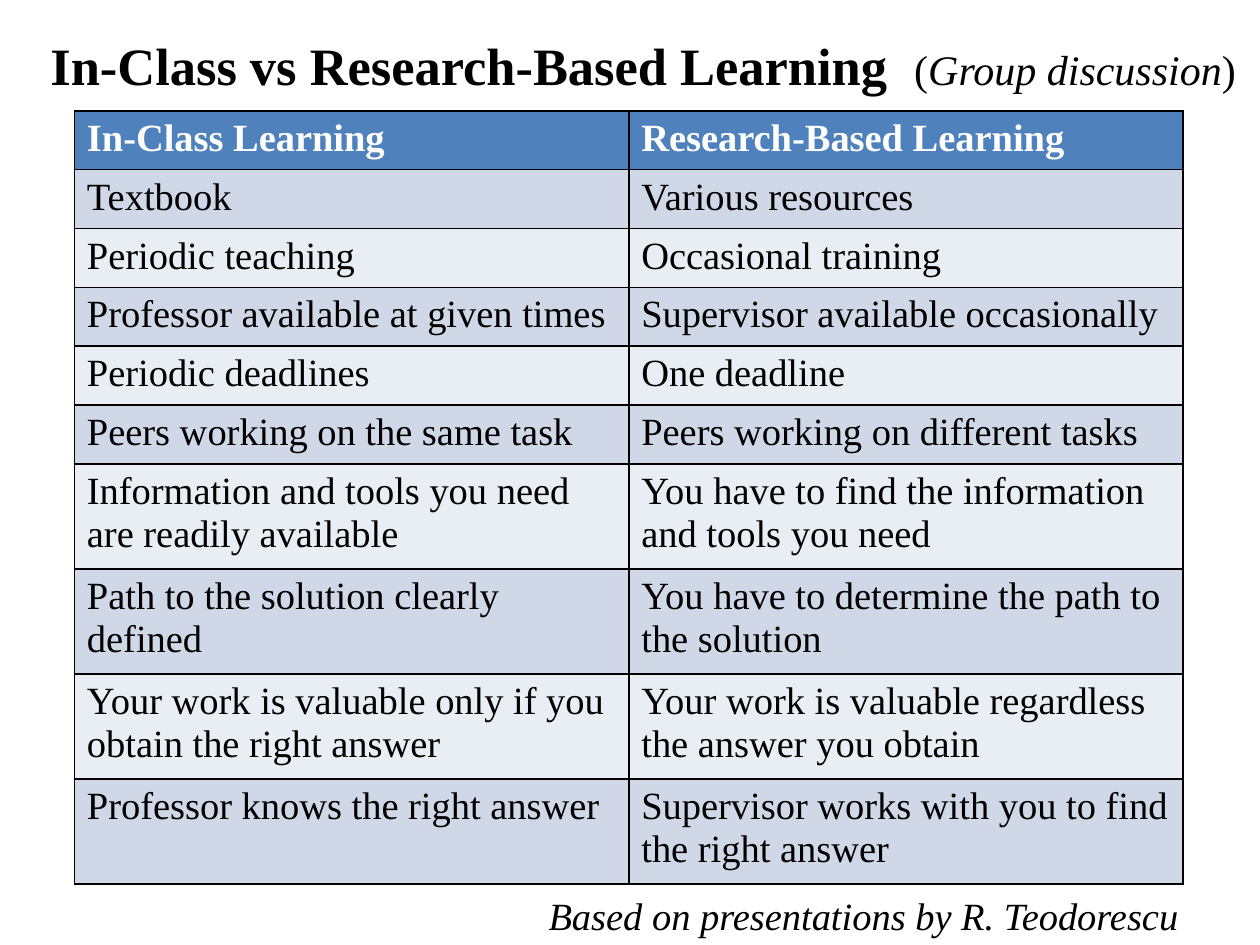
from typing import NamedTuple

from lxml.etree import SubElement
from pptx import Presentation
from pptx.dml.color import RGBColor
from pptx.enum.text import MSO_ANCHOR, MSO_AUTO_SIZE, PP_ALIGN
from pptx.oxml.ns import qn
from pptx.util import Inches, Pt

FONT = "Times New Roman"
COLOURS = {
    "text": "000000",
    "header_text": "FFFFFF",
    "header": "4F81BD",
    "odd_row": "D0D8E8",
    "even_row": "E9EDF4",
    "border": "000000",
}
ONE_LINE, TWO_LINES = 0.467, 0.833


class Comparison(NamedTuple):
    in_class: str
    research: str
    height: float = ONE_LINE


COMPARISONS = [
    Comparison("In-Class Learning", "Research-Based Learning"),
    Comparison("Textbook", "Various resources"),
    Comparison("Periodic teaching", "Occasional training"),
    Comparison("Professor available at given times", "Supervisor available occasionally"),
    Comparison("Periodic deadlines", "One deadline"),
    Comparison("Peers working on the same task", "Peers working on different tasks"),
    Comparison("Information and tools you need are readily available",
               "You have to find the information and tools you need", TWO_LINES),
    Comparison("Path to the solution clearly defined",
               "You have to determine the path to the solution", TWO_LINES),
    Comparison("Your work is valuable only if you obtain the right answer",
               "Your work is valuable regardless the answer you obtain", TWO_LINES),
    Comparison("Professor knows the right answer",
               "Supervisor works with you to find the right answer", TWO_LINES),
]


def add_span(para, text: str, *, size: float = 22, bold: bool = False,
             italic: bool = False, colour: str = "text") -> None:
    span = para.add_run()
    span.text = text
    span.font.name = FONT
    span.font.size = Pt(size)
    span.font.bold = bold
    span.font.italic = italic
    span.font.color.rgb = RGBColor.from_string(COLOURS[colour])


def add_borders(cell) -> None:
    properties = cell._tc.get_or_add_tcPr()
    for position, side in enumerate(("lnL", "lnR", "lnT", "lnB")):
        line = SubElement(properties, qn(f"a:{side}"), w=str(Pt(1)))
        fill = SubElement(line, qn("a:solidFill"))
        SubElement(fill, qn("a:srgbClr"), val=COLOURS["border"])
        properties.insert(position, line)


def add_title(page) -> None:
    title = page.shapes.title
    title.left, title.top = Inches(0.3), Inches(0.21)
    title.width, title.height = Inches(9.65), Inches(0.61)
    frame = title.text_frame
    frame.word_wrap = False
    frame.auto_size = MSO_AUTO_SIZE.SHAPE_TO_FIT_TEXT
    frame.vertical_anchor = MSO_ANCHOR.TOP
    para = frame.paragraphs[0]
    para.alignment = PP_ALIGN.LEFT
    add_span(para, "In-Class vs Research-Based Learning  ", size=30, bold=True)
    add_span(para, "(", size=24)
    add_span(para, "Group discussion", size=24, italic=True)
    add_span(para, ")", size=24)


def add_comparison_table(page, comparisons: list[Comparison]) -> None:
    height = sum(comparison.height for comparison in comparisons)
    table = page.shapes.add_table(len(comparisons), 2, Inches(0.59), Inches(0.88),
                                  Inches(8.8), Inches(height)).table
    table.horz_banding = False
    for number, comparison in enumerate(comparisons):
        table.rows[number].height = Inches(comparison.height)
        header = number == 0
        fill = "header" if header else "odd_row" if number % 2 else "even_row"
        for column, text in enumerate((comparison.in_class, comparison.research)):
            cell = table.cell(number, column)
            cell.fill.solid()
            cell.fill.fore_color.rgb = RGBColor.from_string(COLOURS[fill])
            add_borders(cell)
            add_span(cell.text_frame.paragraphs[0], text, bold=header,
                     colour="header_text" if header else "text")


def add_credit(page) -> None:
    box = page.shapes.add_textbox(Inches(2.55), Inches(7.03), Inches(6.9), Inches(0.47))
    box.text_frame.word_wrap = True
    box.text_frame.auto_size = MSO_AUTO_SIZE.SHAPE_TO_FIT_TEXT
    para = box.text_frame.paragraphs[0]
    para.alignment = PP_ALIGN.RIGHT
    add_span(para, "Based on presentations by R. Teodorescu", italic=True)


def main() -> None:
    deck = Presentation()
    deck.slide_width, deck.slide_height = Inches(10), Inches(7.5)
    page = deck.slides.add_slide(deck.slide_layouts.get_by_name("Title Only"))
    add_title(page)
    add_comparison_table(page, COMPARISONS)
    add_credit(page)
    deck.save("out.pptx")


if __name__ == "__main__":
    main()
